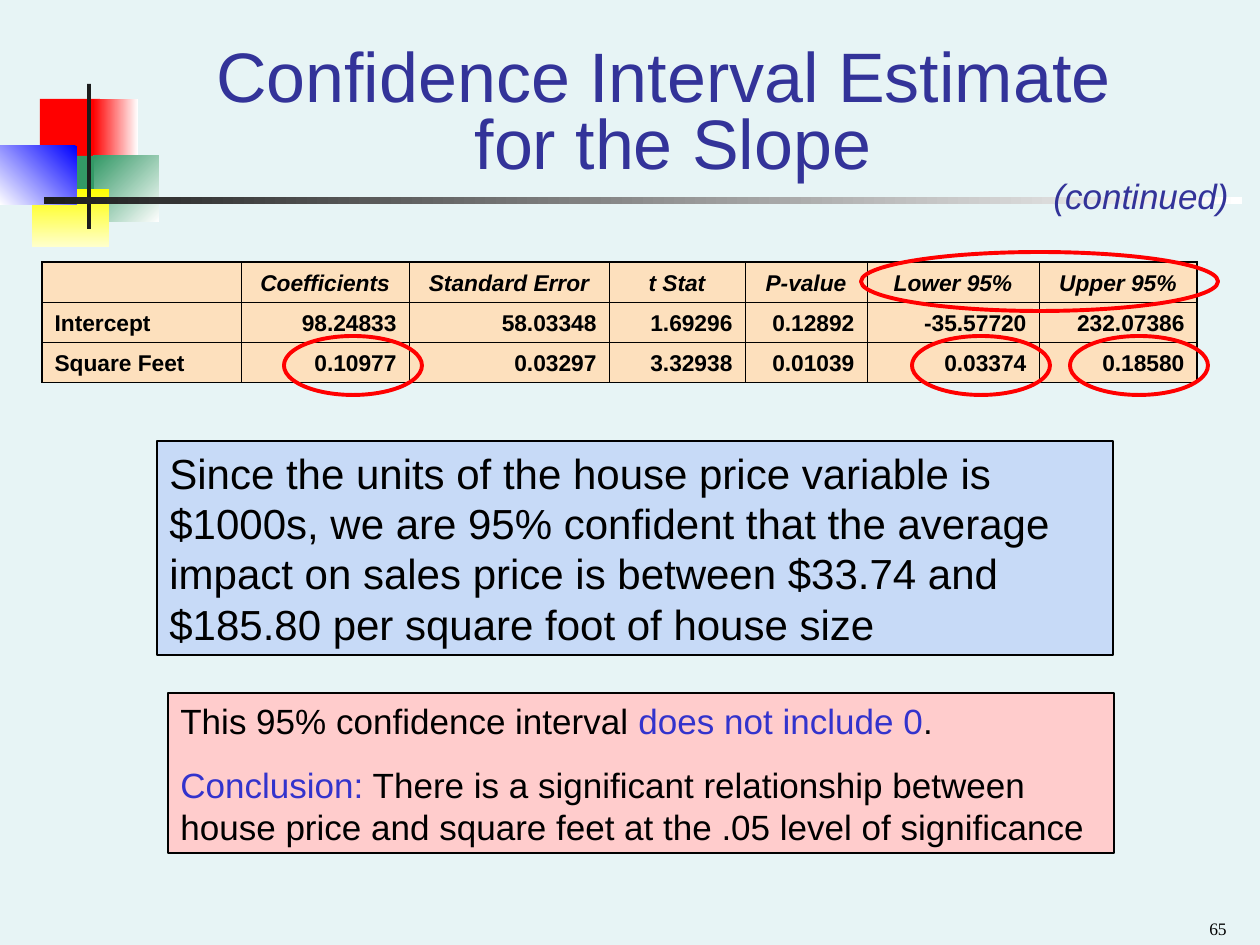
from lxml import etree
from pptx import Presentation, util as u
from pptx.dml.color import RGBColor
from pptx.enum import shapes, text
from pptx.oxml.ns import qn

PX = 914400 / 126
KIND = shapes.MSO_SHAPE
ALIGN = text.PP_ALIGN
ANCHOR = text.MSO_ANCHOR


def rgb(code):
    return RGBColor.from_string(code)


def write(frame, paras, size, align=ALIGN.LEFT, face="Arial", lead=None, gap=0, **style):
    """Fill a frame with paragraphs, each a list of (words, colour) runs."""
    for i, runs in enumerate(paras):
        par = frame.add_paragraph() if i else frame.paragraphs[0]
        par.alignment = align
        if lead:
            par.line_spacing = lead
        if i:
            par.space_before = u.Pt(gap)
        for words, code in runs:
            for j, line in enumerate(words.split("\n")):
                if j:
                    par.add_line_break()
                run = par.add_run()
                run.text = line
                run.font.color.rgb = rgb(code)
                form = {"name": face, "size": u.Pt(size), **style}
                for key, val in form.items():
                    setattr(run.font, key, val)


deck = Presentation()
deck.slide_width, deck.slide_height = round(1260 * PX), round(945 * PX)
slide = deck.slides.add_slide(deck.slide_layouts[6])
slide.background.fill.solid()
slide.background.fill.fore_color.rgb = rgb("E7F4F5")

# Shapes: kind, box, fill colours, gradient angle, line colour, line width
LIST = [
    # Corner blocks and rule
    (KIND.RECTANGLE, (40, 99, 60, 65), ["FF0000"], 0, None, 0),
    (KIND.RECTANGLE, (93, 99, 45, 65), ["FFFFFF", "FF0000"], 180, None, 0),
    (KIND.RECTANGLE, (94, 156, 65, 66), ["FFFFFF", "339966"], 225, None, 0),
    (KIND.RECTANGLE, (54, 156, 40, 66), ["339966"], 0, None, 0),
    (KIND.RECTANGLE, (32, 189, 77, 58), ["FFFF00", "FFFFCC"], 90, None, 0),
    (KIND.RECTANGLE, (0, 146, 77, 59), ["0000FF", "FFFFFF"], 135, None, 0),
    (KIND.RECTANGLE, (87, 84, 4, 145), ["1C1C1C"], 0, None, 0),
    (KIND.RECTANGLE, (44, 197, 1198, 7), ["FFFFFF", "1C1C1C"], 180, None, 0),
    # Message boxes
    (KIND.RECTANGLE, (157, 441, 956, 214), ["C7DAF7"], 0, "000000", 1),
    (KIND.RECTANGLE, (168, 693, 946, 160), ["FFCCCC"], 0, "000000", 1),
    # Rings around the table values
    (KIND.OVAL, (912, 336, 138, 59), [], 0, "FF0000", 2.25),
    (KIND.OVAL, (1070, 336, 138, 59), [], 0, "FF0000", 2.25),
    (KIND.OVAL, (861, 252, 357, 59), [], 0, "FF0000", 2.25),
    (KIND.OVAL, (284, 336, 138, 59), [], 0, "FF0000", 2.25),
]
# Coefficient table, placed under the rings
HEAD = ["", "Coefficients", "Standard Error", "t Stat", "P-value", "Lower 95%", "Upper 95%"]
ROWS = [
    HEAD,
    ["Intercept", "98.24833", "58.03348", "1.69296", "0.12892", "-35.57720", "232.07386"],
    ["Square Feet", "0.10977", "0.03297", "3.32938", "0.01039", "0.03374", "0.18580"],
]
WIDE = [199, 168, 200, 136, 122, 172, 158]
box = [round(v * PX) for v in (42, 262, sum(WIDE), 120)]
table = slide.shapes.add_table(len(ROWS), len(HEAD), *box).table
for col, wide in zip(table.columns, WIDE):
    col.width = round(wide * PX)
for r, row in enumerate(ROWS):
    table.rows[r].height = round(40 * PX)
    for c, word in enumerate(row):
        cell = table.cell(r, c)
        cell.vertical_anchor = ANCHOR.BOTTOM
        cell.margin_left = cell.margin_right = u.Inches(0.1)
        cell.margin_top = cell.margin_bottom = u.Inches(0.05)
        if word:
            align = ALIGN.CENTER if r == 0 else ALIGN.RIGHT if c else ALIGN.LEFT
            write(cell.text_frame, [[(word, "000000")]], 13, align, bold=True, italic=r == 0)
        else:
            etree.SubElement(cell.text_frame.paragraphs[0]._p, qn("a:endParaRPr"), sz="1300")
        # Heavy outer edge, thin inner lines
        edges = {"L": c == 0, "R": c == len(HEAD) - 1, "T": r == 0, "B": r == len(ROWS) - 1}
        prop = cell._tc.get_or_add_tcPr()
        for side, outer in edges.items():
            line = etree.SubElement(prop, qn("a:ln" + side), w=str(u.Pt(1.08 if outer else 0.45)))
            fill = etree.SubElement(line, qn("a:solidFill"))
            etree.SubElement(fill, qn("a:srgbClr"), val="000000")
        cell.fill.solid()
        cell.fill.fore_color.rgb = rgb("FDE0BD")

# Draw the shapes
made = []
for kind, box, fills, angle, edge, wide in LIST:
    item = slide.shapes.add_shape(kind, *[round(v * PX) for v in box])
    item.shadow.inherit = False
    if len(fills) == 2:
        item.fill.gradient()
        item.fill.gradient_angle = 360 - angle
        for stop, code, spot in zip(item.fill.gradient_stops, fills, (0, 1)):
            stop.color.rgb = rgb(code)
            stop.position = spot
    elif fills:
        item.fill.solid()
        item.fill.fore_color.rgb = rgb(fills[0])
    else:
        item.fill.background()
    if edge:
        item.line.color.rgb = rgb(edge)
        item.line.width = u.Pt(wide)
    else:
        item.line.fill.background()
    made.append(item)

# Message texts
PRICE = ("Since the units of the house price variable is $1000s, we are 95% confident that "
         "the average impact on sales price is between $33.74 and $185.80 per square foot "
         "of house size")
RESULT = [
    [("This 95% confidence interval ", "000000"), ("does not include 0", "3333CC"),
     (".", "000000")],
    [("Conclusion:", "3333CC"),
     (" There is a significant relationship between house price and square feet "
      "at the .05 level of significance", "000000")],
]
for item, paras, size in ((made[8], [[(PRICE, "000000")]], 24), (made[9], RESULT, 20)):
    item.text_frame.vertical_anchor = ANCHOR.TOP
    item.text_frame.word_wrap = True
    write(item.text_frame, paras, size, gap=12.5)

# Title, continuation mark and page number
TEXTS = [
    ((136, 42, 1074, 147), "Confidence Interval Estimate \nfor the Slope", "333399",
     ANCHOR.BOTTOM, {"size": 40, "align": ALIGN.CENTER, "lead": 0.8}),
    ((1041, 168, 210, 55), "(continued)", "333399",
     ANCHOR.TOP, {"size": 20, "italic": True}),
    ((945, 901, 294, 44), "65", "000000",
     ANCHOR.BOTTOM, {"size": 10, "align": ALIGN.RIGHT, "face": "Times New Roman"}),
]
for box, words, code, anchor, form in TEXTS:
    frame = slide.shapes.add_textbox(*[round(v * PX) for v in box]).text_frame
    frame.word_wrap = True
    frame.vertical_anchor = anchor
    write(frame, [[(words, code)]], **form)

deck.save("out.pptx")
